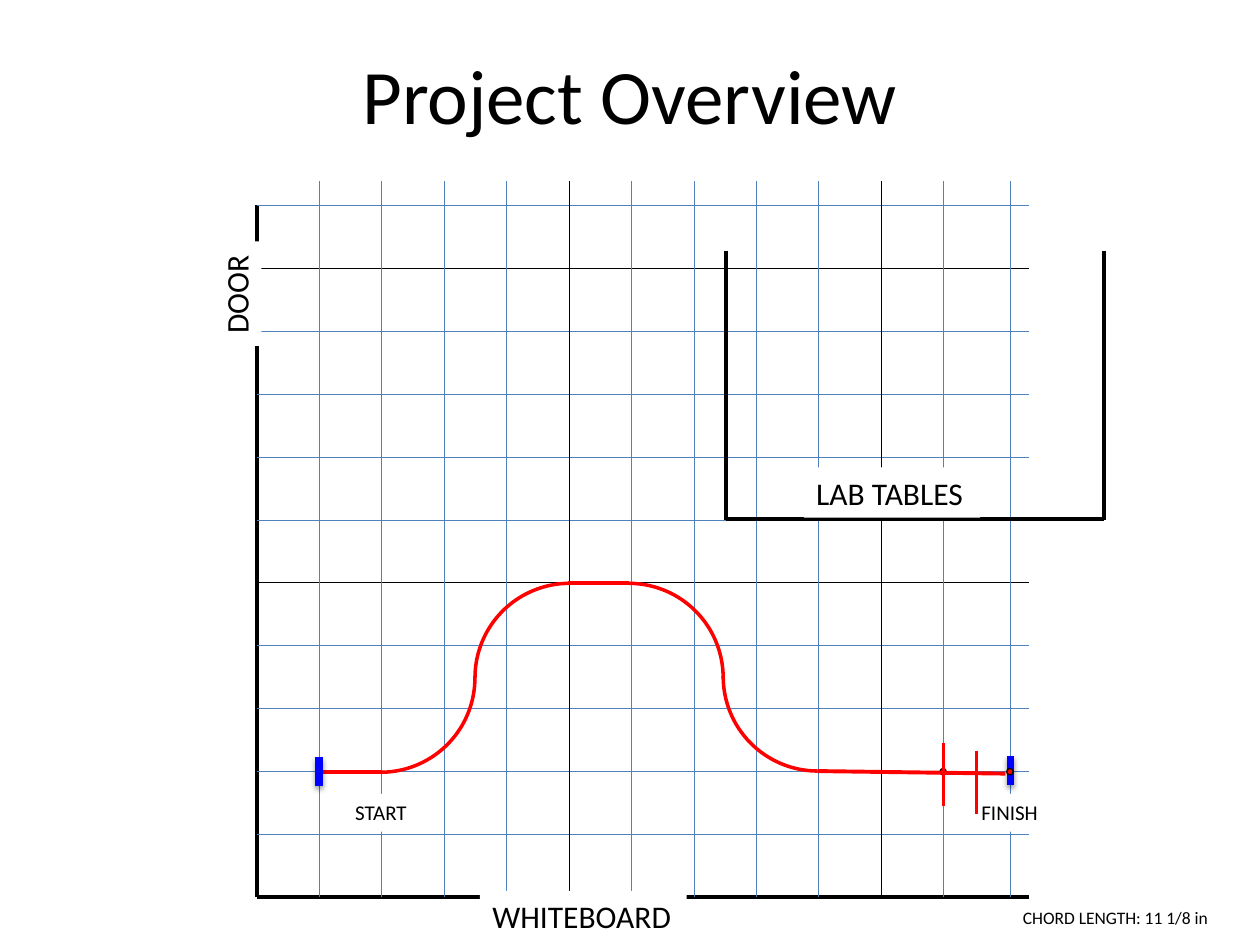
"""Build the Project Overview slide: a room grid with a driving path."""
import pptx
import pptx.dml.color
import pptx.enum.shapes
import pptx.enum.text
import pptx.oxml.ns
import pptx.util
from lxml import etree

Inches = pptx.util.Inches
Pt = pptx.util.Pt
RGB = pptx.dml.color.RGBColor
KIND = pptx.enum.shapes.MSO_SHAPE
qn = pptx.oxml.ns.qn

BLACK = RGB(0x00, 0x00, 0x00)
WHITE = RGB(0xFF, 0xFF, 0xFF)
RED = RGB(0xFF, 0x00, 0x00)
BLUE = RGB(0x00, 0x00, 0xFF)
STEEL = RGB(0x4F, 0x81, 0xBD)
FONT = "Calibri"

TITLE = "Project Overview"
LEFT, RIGHT, TOP, FLOOR = 2.04, 8.17, 1.63, 7.12
HEAD = 1.44
COLS = [2.53 + 0.496 * i for i in range(11)] + [8.02]
ROWS = [TOP + 0.499 * i for i in range(11)]
DARK_COLS, DARK_ROWS = (4, 9), (1, 6)

WALLS = [(LEFT, TOP, LEFT, FLOOR), (LEFT, FLOOR, RIGHT, FLOOR)]
TABLES = [(5.76, 1.99, 5.76, 4.13), (8.76, 1.99, 8.76, 4.13),
          (8.76, 4.12, 5.76, 4.12)]
GATES = [(2.53, 6.01, 2.53, 6.24), (8.02, 6, 8.02, 6.23)]
LABELS = [
    ("WHITEBOARD", 18, 3.81, 7.07, 1.64, 0.4, 0),
    ("DOOR", 18, 1.46, 2.13, 0.83, 0.4, 270),
    ("LAB TABLES", 18, 6.38, 3.71, 1.4, 0.4, 0),
    ("START", 12, 2.72, 6.3, 0.63, 0.3, 0),
    ("CHORD LENGTH: 11 1/8 in", 10, 8.02, 7.15, 1.69, 0.27, 0),
    ("FINISH", 12, 7.69, 6.3, 0.65, 0.3, 0),
]
DOTS, DOT = [(7.46, 6.1), (7.99, 6.1)], 0.05
ARCS = [(4.24, 4.63, ""), (3.77, 4.63, "H"), (5.74, 4.62, "HV"),
        (2.27, 4.63, "V")]
ARC = 1.5
PATH = [(2.53, 6.13, 3.03, 6.13), (6.49, 6.12, 7.98, 6.14),
        (4.51, 4.63, 4.99, 4.63)]
TICKS = [(7.49, 5.9, 7.49, 6.4), (7.75, 5.96, 7.75, 6.46)]


def rule(home, ends, color, width, shade=False):
    line = home.add_connector(pptx.enum.shapes.MSO_CONNECTOR.STRAIGHT,
                              *map(Inches, ends))
    line.line.color.rgb = color
    line.line.width = Pt(width)
    fx = etree.SubElement(line._element.spPr, qn("a:effectLst"))
    if shade:
        cast = etree.SubElement(fx, qn("a:outerShdw"), blurRad=str(Pt(3.1)),
                                dist=str(Pt(1.6)), dir="5400000",
                                rotWithShape="0")
        tint = etree.SubElement(cast, qn("a:srgbClr"), val=str(BLACK))
        etree.SubElement(tint, qn("a:alpha"), val="38000")


def form(home, kind, box, fill, color, width):
    shape = home.add_shape(kind, *map(Inches, box))
    shape.shadow.inherit = False
    if fill is None:
        shape.fill.background()
    else:
        shape.fill.solid()
        shape.fill.fore_color.rgb = fill
    shape.line.color.rgb = color
    shape.line.width = Pt(width)
    return shape


def label(home, text, size, x, y, w, h, turn):
    box = home.add_textbox(*map(Inches, (x, y, w, h)))
    box.rotation = turn
    box.fill.solid()
    box.fill.fore_color.rgb = WHITE
    frame = box.text_frame
    frame.word_wrap = False
    frame.auto_size = pptx.enum.text.MSO_AUTO_SIZE.SHAPE_TO_FIT_TEXT
    write(frame, text, size)


def write(frame, text, size):
    frame.text = text
    font = frame.paragraphs[0].font
    font.name, font.size = FONT, Pt(size)
    font.color.rgb = BLACK


def main():
    deck = pptx.Presentation()
    deck.slide_width, deck.slide_height = Inches(10), Inches(7.5)
    slide = deck.slides.add_slide(deck.slide_layouts[5])
    home = slide.shapes

    title = home.title
    title.left, title.top = Inches(0.5), Inches(0.31)
    title.width, title.height = Inches(9), Inches(0.86)
    write(title.text_frame, TITLE, 44)
    title.text_frame.vertical_anchor = pptx.enum.text.MSO_ANCHOR.MIDDLE
    title.text_frame.paragraphs[0].alignment = pptx.enum.text.PP_ALIGN.CENTER

    for ends in WALLS:
        rule(home, ends, BLACK, 2)
    for i, y in enumerate(ROWS):
        rule(home, (LEFT, y, RIGHT, y), BLACK if i in DARK_ROWS else STEEL, 0.25)
    for i, x in enumerate(COLS):
        rule(home, (x, HEAD, x, FLOOR), BLACK if i in DARK_COLS else STEEL, 0.25)
    bench = home.add_group_shape().shapes
    for ends in TABLES:
        rule(bench, ends, BLACK, 2)

    rule(home, PATH[0], RED, 2.25)
    for ends in GATES:
        rule(home, ends, BLUE, 4.5, shade=True)
    for item in LABELS:
        label(home, *item)
    for x, y in DOTS:
        form(home, KIND.OVAL, (x, y, DOT, DOT), RED, BLACK, 0.75)
    for x, y, flips in ARCS:
        arc = form(home, KIND.ARC, (x, y, ARC, ARC), None, RED, 2)
        for axis in flips:
            arc._element.spPr.xfrm.set("flip" + axis, "1")
    for ends in PATH[1:]:
        rule(home, ends, RED, 2.25)
    for ends in TICKS:
        rule(home, ends, RED, 2)

    deck.save("out.pptx")


if __name__ == "__main__":
    main()
